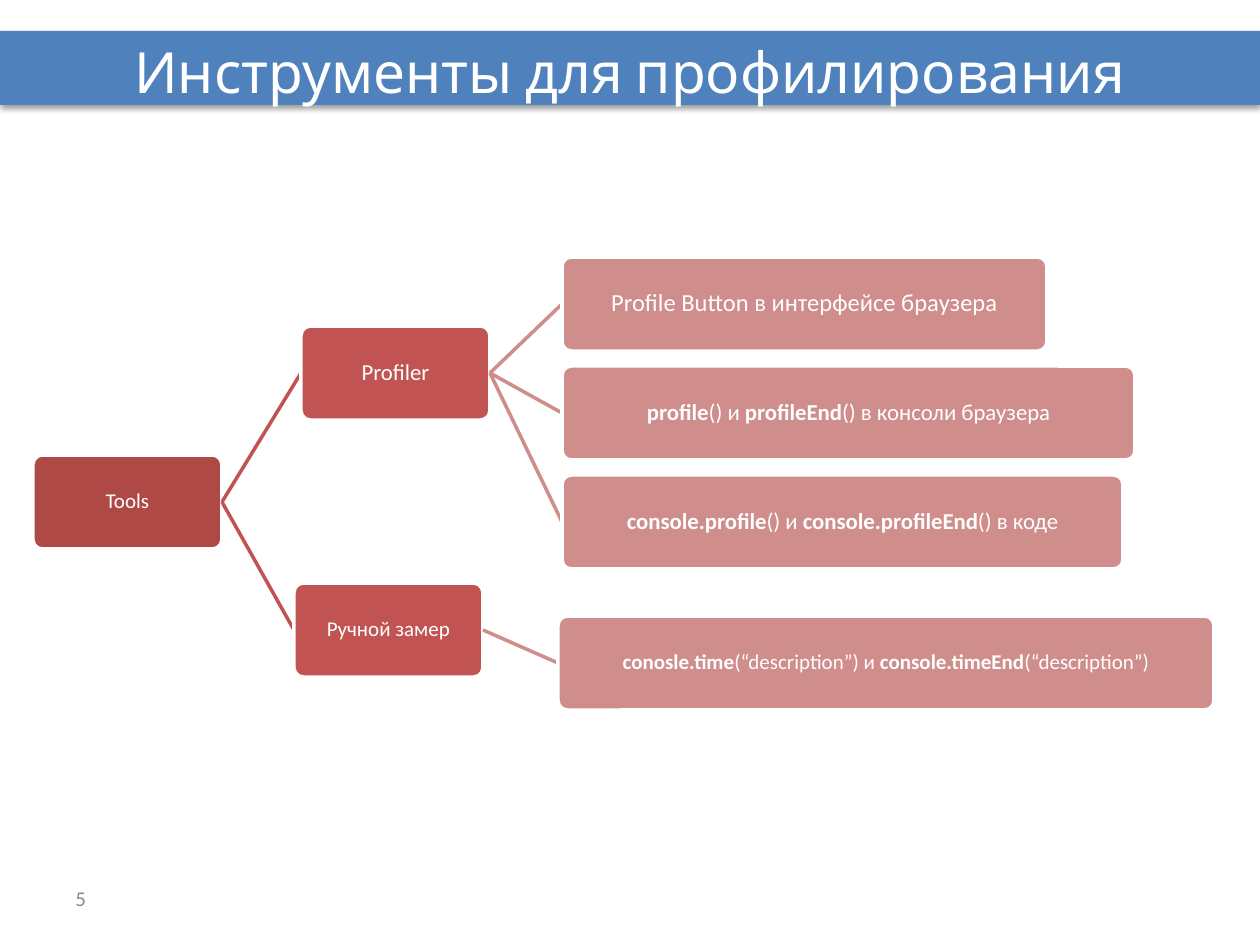
from lxml import etree
from pptx import Presentation
from pptx import util as u
from pptx.dml.color import RGBColor
from pptx.enum import shapes, text
from pptx.oxml.ns import qn

PX = u.Inches(1) / 126
WHITE = RGBColor(0xFF, 0xFF, 0xFF)
GRAY = RGBColor(0x8C, 0x8C, 0x8C)
BLUE = RGBColor(0x4F, 0x81, 0xBD)
DARK_RED = RGBColor(0xAE, 0x49, 0x46)
RED = RGBColor(0xC1, 0x54, 0x52)
PINK = RGBColor(0xCF, 0x8D, 0x8C)

LEVEL_COLORS = [DARK_RED, RED, PINK]
BOX_HEIGHT = 94

# Each node: text (bold between asterisks), size, left, top, width, children
TREE = ("Tools", 12, 33, 455, 189, [
    ("Profiler", 13, 301, 326, 189, [
        ("Profile Button в интерфейсе браузера", 14, 562, 257, 485, []),
        ("*profile*() и *profileEnd*() в консоли браузера", 13, 562, 366, 573, []),
        ("*console.profile*() и *console.profileEnd*() в коде", 13, 562, 475, 561, []),
    ]),
    ("Ручной замер", 12, 294, 583, 189, [
        ("*conosle.time*(“description”) и *console.timeEnd*(“description”)",
         12, 558, 616, 656, []),
    ]),
])


def px(*values):
    return [u.Emu(round(value * PX)) for value in values]


class SlideBuilder:
    font = "Calibri"
    title_font = "Cabin"

    def __init__(self, slide):
        self.slide = slide

    def style(self, run, size, color, font=None, bold=False):
        run.font.name = font or self.font
        run.font.size = u.Pt(size)
        run.font.color.rgb = color
        run.font.bold = bold

    def title(self, content, box):
        title = self.slide.shapes.title
        title.left, title.top, title.width, title.height = px(*box)
        frame = title.text_frame
        frame.text = content
        frame.auto_size = text.MSO_AUTO_SIZE.NONE
        frame.vertical_anchor = text.MSO_ANCHOR.MIDDLE
        paragraph = frame.paragraphs[0]
        paragraph.alignment = text.PP_ALIGN.CENTER
        self.style(paragraph.runs[0], 32.4, WHITE, self.title_font)

    def banner(self, box):
        banner = self.slide.shapes.add_shape(shapes.MSO_SHAPE.RECTANGLE, *px(*box))
        banner.fill.solid()
        banner.fill.fore_color.rgb = BLUE
        banner.line.fill.background()
        # Soft shadow straight below
        effects = etree.SubElement(banner.element.spPr, qn("a:effectLst"))
        shadow = etree.SubElement(
            effects, qn("a:outerShdw"), blurRad=str(u.Pt(3.1)),
            dist=str(u.Pt(1.6)), dir="5400000", rotWithShape="0")
        color = etree.SubElement(shadow, qn("a:srgbClr"), val="000000")
        etree.SubElement(color, qn("a:alpha"), val="38000")
        # Keep the band behind the title
        self.slide.shapes.title.element.addprevious(banner.element)

    def label(self, content, box, size, color):
        frame = self.slide.shapes.add_textbox(*px(*box)).text_frame
        frame.word_wrap = True
        frame.vertical_anchor = text.MSO_ANCHOR.MIDDLE
        frame.text = content
        self.style(frame.paragraphs[0].runs[0], size, color)

    def node(self, content, size, box, color):
        shape = self.slide.shapes.add_shape(
            shapes.MSO_SHAPE.ROUNDED_RECTANGLE, *px(*box))
        shape.adjustments[0] = 0.1
        shape.shadow.inherit = False
        shape.fill.solid()
        shape.fill.fore_color.rgb = color
        shape.line.color.rgb = WHITE
        shape.line.width = u.Pt(2)
        frame = shape.text_frame
        frame.word_wrap = True
        frame.vertical_anchor = text.MSO_ANCHOR.MIDDLE
        frame.margin_left = frame.margin_right = u.Inches(0.01)
        frame.margin_top = frame.margin_bottom = u.Inches(0.01)
        paragraph = frame.paragraphs[0]
        paragraph.alignment = text.PP_ALIGN.CENTER
        paragraph.line_spacing = 0.9
        for index, part in enumerate(content.split("*")):
            if part:
                run = paragraph.add_run()
                run.text = part
                self.style(run, size, WHITE, bold=index % 2 == 1)

    def link(self, start, end, color):
        connector = self.slide.shapes.add_connector(
            shapes.MSO_CONNECTOR.STRAIGHT, *px(*start, *end))
        connector.line.color.rgb = color
        connector.line.width = u.Pt(2)
        etree.SubElement(connector.element.spPr, qn("a:effectLst"))

    def tree(self, node, level=0):
        content, size, left, top, width, children = node
        self.node(content, size, (left, top, width, BOX_HEIGHT), LEVEL_COLORS[level])
        middle = BOX_HEIGHT / 2
        for child in children:
            child_left, child_top = child[2:4]
            self.link((left + width, top + middle),
                      (child_left, child_top + middle), LEVEL_COLORS[level + 1])
            self.tree(child, level + 1)


def main():
    presentation = Presentation()
    presentation.slide_width, presentation.slide_height = px(1260, 945)
    builder = SlideBuilder(
        presentation.slides.add_slide(presentation.slide_layouts[5]))

    # Heading
    builder.title("Инструменты для профилирования", (63, 32, 1134, 78))
    builder.banner((0, 31, 1260, 74))

    # Slide number
    builder.label("5", (63, 873, 294, 50), 12, GRAY)

    # Tool hierarchy
    builder.tree(TREE)

    presentation.save("out.pptx")


if __name__ == "__main__":
    main()
